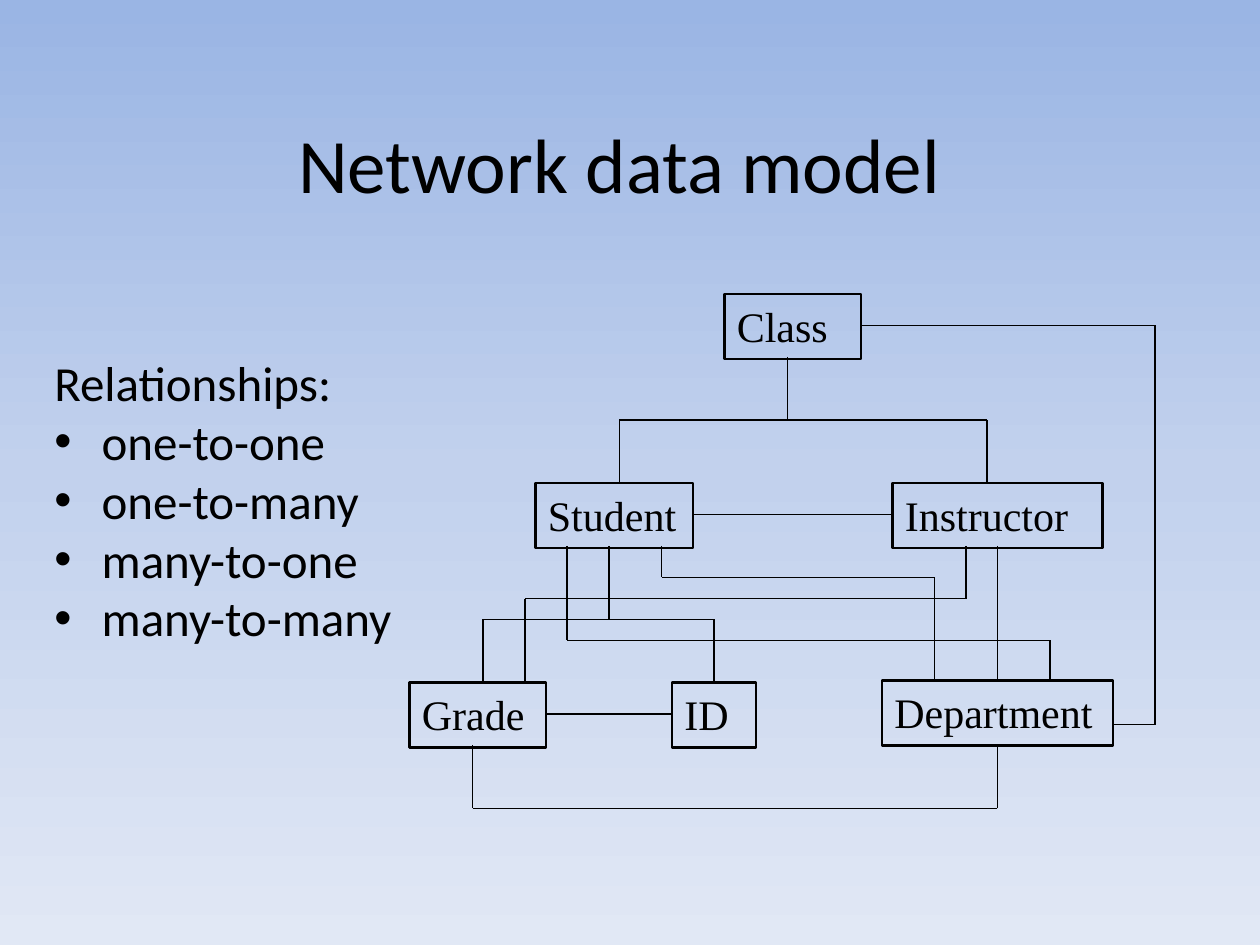
from itertools import pairwise

from lxml.etree import SubElement
from pptx import Presentation
from pptx.dml.color import RGBColor
from pptx.enum.shapes import MSO_CONNECTOR, MSO_SHAPE
from pptx.enum.text import MSO_ANCHOR, MSO_AUTO_SIZE, PP_ALIGN
from pptx.oxml.ns import qn
from pptx.util import Pt

PX = 7620  # EMU per px, 120 px to the inch
BLACK = RGBColor(0x00, 0x00, 0x00)
SKY = RGBColor(0x9A, 0xB5, 0xE4)
MIST = RGBColor(0xC2, 0xD1, 0xED)
PALE = RGBColor(0xE1, 0xE8, 0xF5)


class Deck:
    sans = "Calibri"
    serif = "Times New Roman"

    def __init__(self, wide, high):
        self.prs = Presentation()
        self.prs.slide_width = wide * PX
        self.prs.slide_height = high * PX
        self.slide = self.prs.slides.add_slide(self.prs.slide_layouts[6])
        self.shapes = self.slide.shapes

    def shade(self, *tones):
        """Fill the background from top to bottom with evenly spaced tones."""
        fill = self.slide.background.fill
        fill.gradient()
        fill.gradient_angle = 270
        stops = next(self.slide.element.iter(qn("a:gsLst")))
        for stop in list(stops):
            stops.remove(stop)
        for i, tone in enumerate(tones):
            place = 100000 * i // (len(tones) - 1)
            stop = SubElement(stops, qn("a:gs"), pos=str(place))
            SubElement(stop, qn("a:srgbClr"), val=str(tone))

    def style(self, par, face, size):
        for run in par.runs:
            run.font.name = face
            run.font.size = Pt(size)
            run.font.color.rgb = BLACK

    def title(self, text, *area):
        frame = self.shapes.add_textbox(*(n * PX for n in area)).text_frame
        frame.word_wrap = True
        frame.vertical_anchor = MSO_ANCHOR.MIDDLE
        frame.text = text
        par = frame.paragraphs[0]
        par.alignment = PP_ALIGN.CENTER
        self.style(par, self.sans, 44)

    def points(self, head, items, *area):
        frame = self.shapes.add_textbox(*(n * PX for n in area)).text_frame
        frame.word_wrap = True
        frame.text = "\n".join([head, *items])
        for i, par in enumerate(frame.paragraphs):
            props = par._p.get_or_add_pPr()
            props.set("marL", str(45 * PX))
            props.set("indent", str(-45 * PX))
            if i:
                SubElement(props, qn("a:buFont"), typeface="Arial")
                SubElement(props, qn("a:buChar"), char="•")
            self.style(par, self.sans, 28)

    def box(self, text, left, top, wide):
        area = (left, top, wide, 62)
        box = self.shapes.add_shape(MSO_SHAPE.RECTANGLE, *(n * PX for n in area))
        box.shadow.inherit = False
        box.fill.background()
        box.line.color.rgb = BLACK
        box.line.width = Pt(1.5)
        frame = box.text_frame
        frame.word_wrap = True
        frame.auto_size = MSO_AUTO_SIZE.SHAPE_TO_FIT_TEXT
        frame.vertical_anchor = MSO_ANCHOR.TOP
        frame.text = text
        par = frame.paragraphs[0]
        par.alignment = PP_ALIGN.LEFT
        self.style(par, self.serif, 24)

    def route(self, *spots):
        """Join the spots, one straight line for each leg."""
        for start, end in pairwise(spots):
            line = self.shapes.add_connector(
                MSO_CONNECTOR.STRAIGHT, *(n * PX for n in start + end))
            line.line.color.rgb = BLACK
            line.line.width = Pt(0.75)
            SubElement(line._element.spPr, qn("a:effectLst"))

    def save(self):
        self.prs.save("out.pptx")


def main():
    deck = Deck(1200, 900)
    deck.shade(SKY, MIST, PALE)

    # Title and list
    deck.title("Network data model", 50, 80, 1080, 150)
    kinds = ["one-to-one", "one-to-many", "many-to-one", "many-to-many"]
    deck.points("Relationships:", kinds, 40, 330, 500, 540)

    # Record types
    for name, left, top, wide in [
        ("Class", 690, 280, 130),
        ("Student", 510, 460, 150),
        ("Instructor", 850, 460, 200),
        ("Grade", 390, 650, 130),
        ("ID", 640, 650, 80),
        ("Department", 840, 648, 220),
    ]:
        deck.box(name, left, top, wide)

    # Trees: Class to Student and Instructor, Student to Grade and ID
    deck.route((750, 340), (750, 400))
    deck.route((590, 460), (590, 400), (940, 400), (940, 460))
    deck.route((580, 520), (580, 590))
    deck.route((460, 650), (460, 590), (680, 590), (680, 650))

    # Direct links
    deck.route((660, 490), (850, 490))  # Student to Instructor
    deck.route((520, 680), (640, 680))  # Grade to ID
    deck.route((950, 520), (950, 650))  # Instructor to Department

    # Links with bends
    deck.route((450, 710), (450, 770), (950, 770), (950, 710))
    deck.route((630, 520), (630, 550), (890, 550), (890, 650))
    deck.route((920, 520), (920, 570), (500, 570), (500, 650))
    deck.route((540, 520), (540, 610), (1000, 610), (1000, 650))
    deck.route((820, 310), (1100, 310), (1100, 690), (1060, 690))

    deck.save()


if __name__ == "__main__":
    main()
